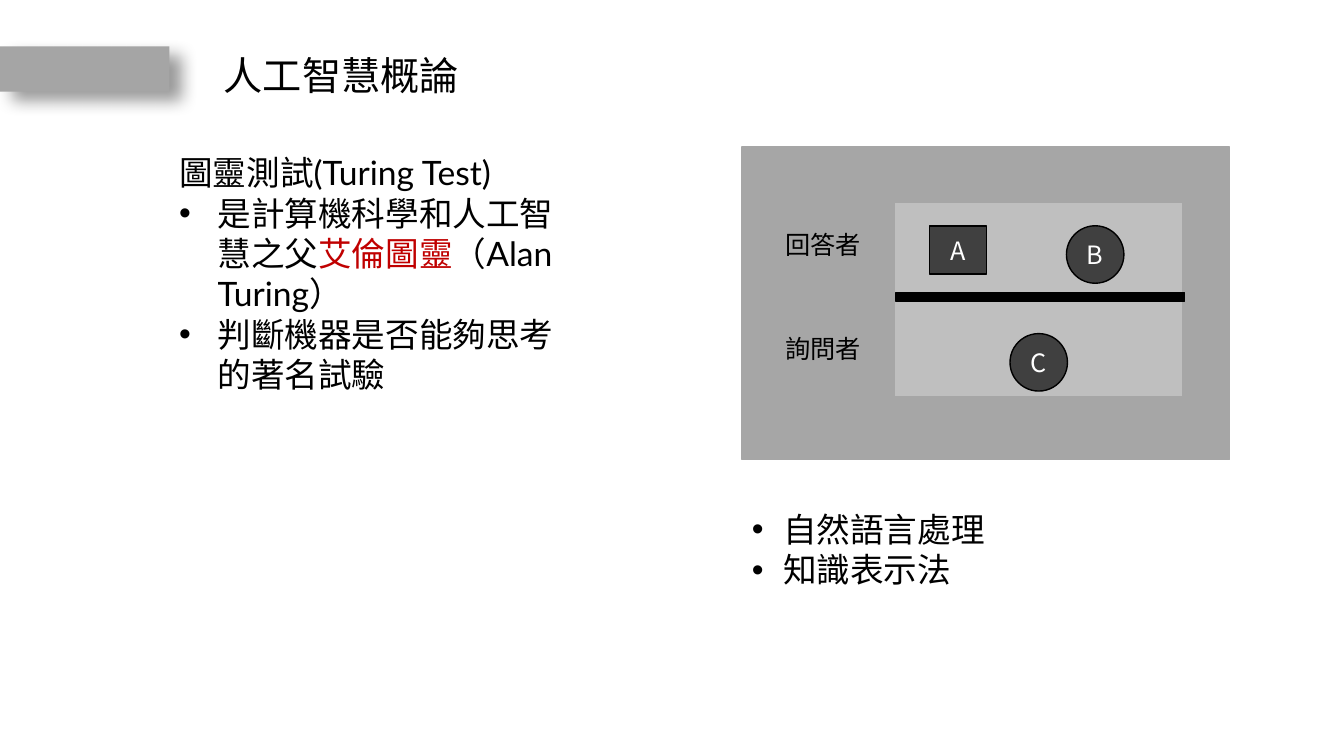
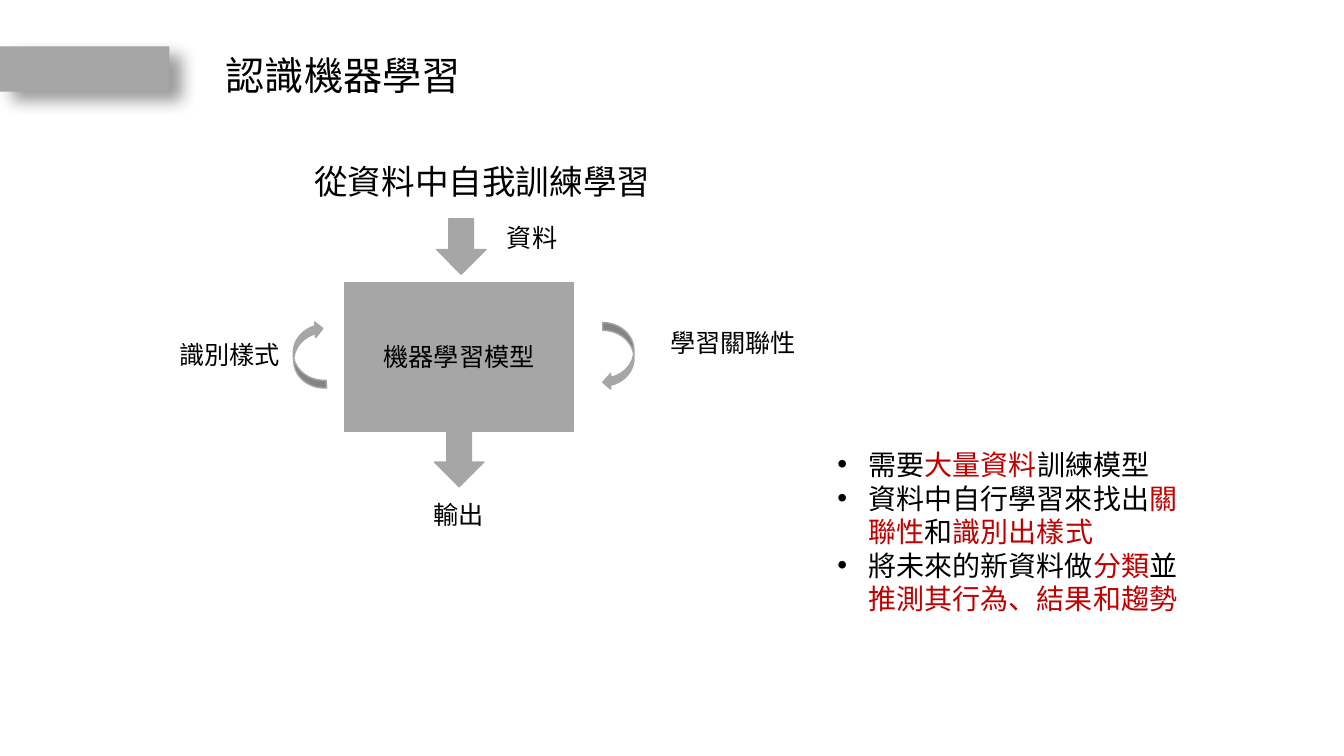
import pptx
import pptx.util
import pptx.dml.color
import pptx.enum.shapes
import pptx.enum.text
import pptx.oxml
import pptx.oxml.ns
from lxml import etree

hue = pptx.dml.color.RGBColor.from_string
kinds = pptx.enum.shapes.MSO_SHAPE
aligns = pptx.enum.text.PP_ALIGN
anchors = pptx.enum.text.MSO_ANCHOR
fits = pptx.enum.text.MSO_AUTO_SIZE
tag = pptx.oxml.ns.qn

BLACK, WHITE, RED = "000000", "FFFFFF", "C00000"
GREY, PALE, DARK, BAND = "A6A6A6", "BFBFBF", "404040", "A5A5A5"
FACE = "Noto Sans CJK SC"
CELL = pptx.util.Inches(0.1)

deck = pptx.Presentation()
deck.slide_width = round(133.33 * CELL)
deck.slide_height = 75 * CELL


def write(frame, lines, size, ink=BLACK, face=FACE, hang=0, align=aligns.LEFT):
    frame.word_wrap = hang > 0
    for row, line in enumerate(lines):
        para = frame.add_paragraph() if row else frame.paragraphs[0]
        para.alignment = align
        para.line_spacing = 1.0
        para.space_before = pptx.util.Pt(0)
        if line.startswith("•"):
            props = para._p.get_or_add_pPr()
            props.set("marL", str(round(hang * CELL)))
            props.set("indent", str(round(-hang * CELL)))
            etree.SubElement(props, tag("a:buFont")).set("typeface", "Arial")
            etree.SubElement(props, tag("a:buChar")).set("char", "•")
        for turn, part in enumerate(line.lstrip("•").split("*")):
            if part:
                run = para.add_run()
                run.text = part
                run.font.size = pptx.util.Pt(size)
                run.font.color.rgb = hue(RED if turn % 2 else ink)
                run.font.name = face
                etree.SubElement(run._r.get_or_add_rPr(), tag("a:ea")).set("typeface", FACE)


def draw(slide, kind, at, fill, edge=None, text="", ink=WHITE):
    shape = slide.shapes.add_shape(kind, *[round(n * CELL) for n in at])
    shape.shadow.inherit = False
    shape.fill.solid()
    shape.fill.fore_color.rgb = hue(fill)
    if edge:
        shape.line.color.rgb = hue(edge)
        shape.line.width = pptx.util.Pt(1)
    else:
        shape.line.fill.background()
    if text:
        write(shape.text_frame, [text], 18, ink, align=aligns.CENTER)
        shape.text_frame.vertical_anchor = anchors.MIDDLE
    return shape


slides = []
for name, left in [("人工智慧概論", 21.2), ("認識機器學習", 21.4)]:
    slide = deck.slides.add_slide(deck.slide_layouts[5])
    slides.append(slide)
    band = draw(slide, kinds.RECTANGLE, (0, 4.6, 16.8, 4.5), BAND)
    glow = band._element.spPr.find(tag("a:effectLst"))
    glow.append(pptx.oxml.parse_xml(
        '<a:outerShdw xmlns:a="http://schemas.openxmlformats.org/drawingml/2006/main"'
        ' blurRad="152400" dist="139700" dir="2100000" algn="tl" rotWithShape="0">'
        '<a:srgbClr val="000000"><a:alpha val="40000"/></a:srgbClr></a:outerShdw>'))
    title = slide.shapes.title
    title.left, title.top, title.width, title.height = [
        round(n * CELL) for n in (left, 4.6, 25.6, 5.7)]
    title.text_frame.vertical_anchor = anchors.TOP
    title.text_frame.auto_size = fits.SHAPE_TO_FIT_TEXT
    write(title.text_frame, [name], 28)

test, learn = slides

draw(test, kinds.RECTANGLE, (73.6, 14.6, 48.4, 31), GREY, GREY)
draw(test, kinds.RECTANGLE, (88.7, 20.1, 28.6, 19.3), PALE, GREY)
draw(test, kinds.RECTANGLE, (88.9, 29, 28.6, 0.9), BLACK, BLACK)
for kind, left, top, high, text in [
        (kinds.RECTANGLE, 92.2, 22.4, 4.8, "A"),
        (kinds.OVAL, 105.8, 22.4, 5.7, "B"),
        (kinds.OVAL, 100.2, 33.1, 5.7, "C")]:
    draw(test, kind, (left, top, 5.7, high), DARK, BLACK, text)

draw(learn, kinds.RECTANGLE, (34.2, 28, 22.7, 14.8), GREY, GREY, "機器學習模型", BLACK)
for left, top in [(43.3, 21.7), (43.1, 42.8)]:
    draw(learn, kinds.DOWN_ARROW, (left, top, 4.9, 5.5), GREY, GREY)
for left, top, turn in [(59.8, 32, 0), (29.1, 31.9, 176.4)]:
    arc = draw(learn, kinds.CURVED_LEFT_ARROW, (left, top, 3.1, 6.7), GREY, GREY)
    arc.rotation = turn

for slide, at, size, face, hang, lines in [
        (test, (16.8, 14.6, 39.3, 25.2), 24, "Lato", 3.8, [
            "圖靈測試(Turing Test)",
            "•是計算機科學和人工智慧之父*艾倫圖靈*（Alan Turing）",
            "•判斷機器是否能夠思考的著名試驗"]),
        (test, (76.9, 22.3, 9.5, 4), 18, FACE, 0, ["回答者"]),
        (test, (76.9, 32.6, 9.5, 4), 18, FACE, 0, ["詢問者"]),
        (test, (73.6, 50, 25.4, 9.1), 24, FACE, 3.1, ["•自然語言處理", "•知識表示法"]),
        (learn, (30.2, 15.5, 35.7, 5), 24, FACE, 0, ["從資料中自我訓練學習"]),
        (learn, (49.3, 21.6, 7.1, 4), 18, FACE, 0, ["資料"]),
        (learn, (65.5, 32, 14.6, 4), 18, FACE, 0, ["學習關聯性"]),
        (learn, (42, 49, 7.1, 4), 18, FACE, 0, ["輸出"]),
        (learn, (16.8, 33.2, 12.1, 4), 18, FACE, 0, ["識別樣式"]),
        (learn, (82.1, 43.9, 38.4, 17.8), 20, FACE, 3.1, [
            "•需要*大量資料*訓練模型",
            "•資料中自行學習來找出*關聯性*和*識別出樣式*",
            "•將未來的新資料做*分類*並*推測其行為、結果和趨勢*"])]:
    note = slide.shapes.add_textbox(*[round(n * CELL) for n in at])
    note.text_frame.auto_size = fits.SHAPE_TO_FIT_TEXT
    write(note.text_frame, lines, size, face=face, hang=hang)

deck.save("out.pptx")
